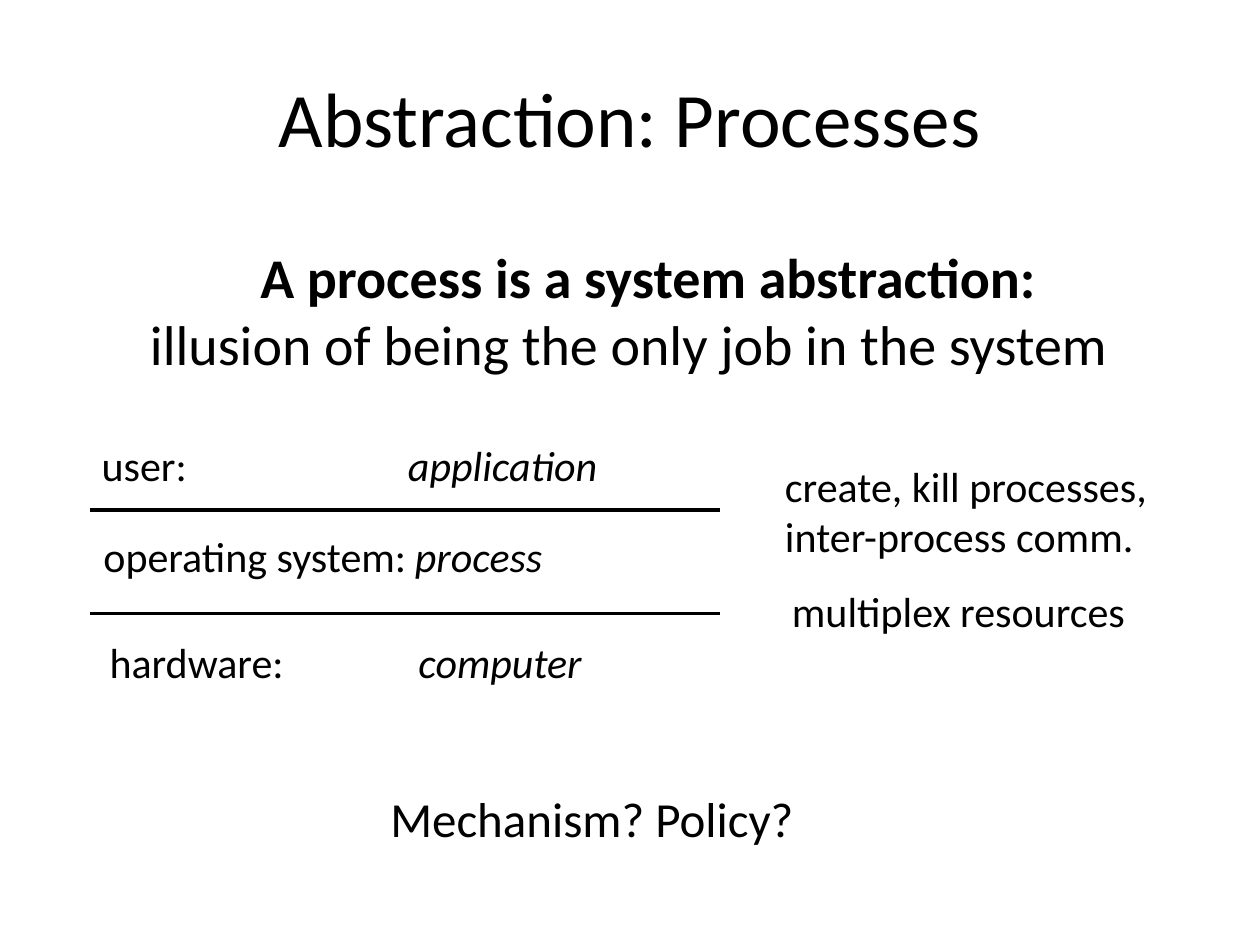
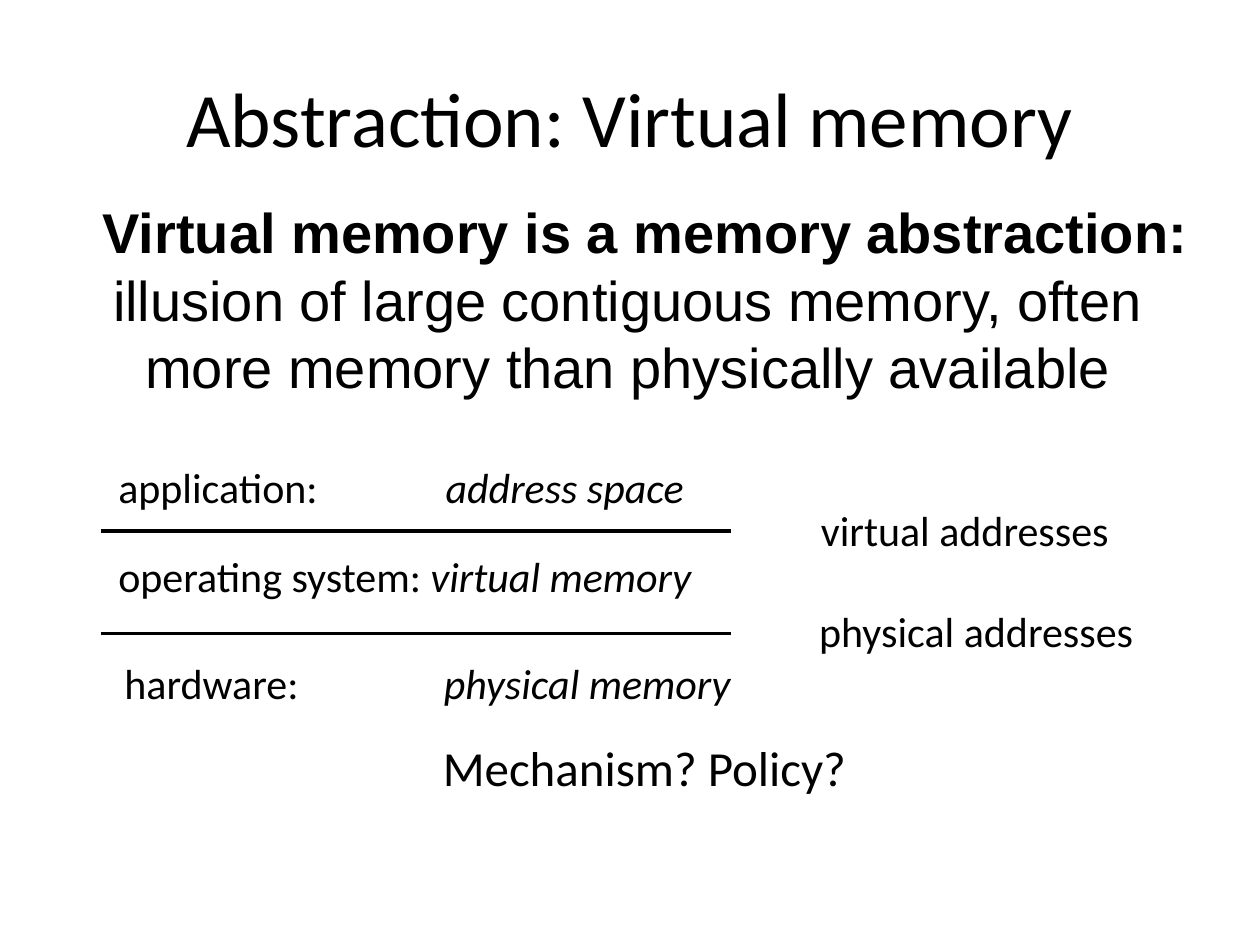
from dataclasses import dataclass

import lxml.etree
import pptx
import pptx.dml.color
import pptx.enum.shapes
import pptx.enum.text
import pptx.oxml.ns
import pptx.util

Pt = pptx.util.Pt
qn = pptx.oxml.ns.qn
ALIGN = pptx.enum.text.PP_ALIGN
ANCHOR = pptx.enum.text.MSO_ANCHOR


@dataclass(frozen=True)
class Theme:
    ink = pptx.dml.color.RGBColor(0, 0, 0)
    paper = pptx.dml.color.RGBColor(255, 255, 255)
    font = "Calibri"
    title_size = 44
    claim_size = 32
    question_size = 28
    label_size = 24
    rule_width = 2


theme = Theme()


def add_text(slide, box, lines, size, font=theme.font, align=ALIGN.LEFT, anchor=ANCHOR.TOP):
    frame = slide.shapes.add_textbox(*[Pt(length) for length in box]).text_frame
    frame.word_wrap = True
    frame.vertical_anchor = anchor
    frame.text = "\n".join(lines)
    for paragraph in frame.paragraphs:
        paragraph.alignment = align
        paragraph.font.size = Pt(size)
        for run in paragraph.runs:
            style_run(run, size, font)
    return frame


def style_run(run, size, font):
    run.font.size = Pt(size)
    run.font.name = font
    run.font.color.rgb = theme.ink


topics = [
    dict(
        title="Abstraction: Processes",
        claim=["A process is a system abstraction:", "illusion of being the only job in the system"],
        claim_box=(74, 135, 571, 90),
        claim_font="Calibri",
        claim_margins=[("marL", 22), ("marR", 0)],
        rules=(51.5, [291.5, 350.5]),
        layers=[
            ("user:", "application", 51, 247.5, 175),
            ("operating system:", "process", 52, 299.5, 178),
            ("hardware:", "computer", 55.5, 360, 176.5),
        ],
        interfaces=[
            (["create, kill processes,", "inter-process comm."], 441.5, 259.5, 66),
            (["multiplex resources"], 445.5, 331, 36),
        ],
        question=(216, 447),
    ),
    dict(
        title="Abstraction: Virtual memory",
        claim=[
            "Virtual memory is a memory abstraction:",
            "illusion of large contiguous memory, often more memory than physically available",
        ],
        claim_box=(36, 109.5, 658, 120),
        claim_font="Arial",
        claim_margins=[("marL", 8), ("marR", 12)],
        rules=(57.5, [303.5, 362]),
        layers=[
            ("application:", "address space", 60.5, 260, 187),
            ("operating system:", "virtual memory", 60.5, 311, 178.5),
            ("hardware:", "physical memory", 64, 372, 182.5),
        ],
        interfaces=[
            (["virtual addresses"], 462, 284.5, 36),
            (["physical addresses"], 461, 342.5, 36),
        ],
        question=(246, 418),
    ),
]

deck = pptx.Presentation()
deck.slide_width, deck.slide_height = Pt(720), Pt(540)

for topic in topics:
    slide = deck.slides.add_slide(deck.slide_layouts[6])
    slide.background.fill.solid()
    slide.background.fill.fore_color.rgb = theme.paper

    add_text(slide, (36, 21.6, 648, 90), [topic["title"]], theme.title_size,
             align=ALIGN.CENTER, anchor=ANCHOR.MIDDLE)

    claim = add_text(slide, topic["claim_box"], topic["claim"], theme.claim_size,
                     font=topic["claim_font"], align=ALIGN.CENTER)
    claim.paragraphs[0].runs[0].font.bold = True
    for paragraph, (side, margin) in zip(claim.paragraphs, topic["claim_margins"]):
        paragraph._p.get_or_add_pPr().set(side, str(Pt(margin)))

    rule_left, rule_tops = topic["rules"]
    for top in rule_tops:
        boundary = slide.shapes.add_connector(
            pptx.enum.shapes.MSO_CONNECTOR.STRAIGHT,
            Pt(rule_left), Pt(top), Pt(rule_left + 360), Pt(top))
        boundary.line.color.rgb = theme.ink
        boundary.line.width = Pt(theme.rule_width)
        lxml.etree.SubElement(boundary._element.spPr, qn("a:effectLst"))

    for layer, abstraction, left, top, tab in topic["layers"]:
        row = add_text(slide, (left, top, 375, 36), [layer + "\t"], theme.label_size).paragraphs[0]
        example = row.add_run()
        example.text = abstraction
        style_run(example, theme.label_size, theme.font)
        example.font.italic = True
        tabs = lxml.etree.SubElement(row._p.get_or_add_pPr(), qn("a:tabLst"))
        row._p.pPr.insert(0, tabs)
        lxml.etree.SubElement(tabs, qn("a:tab"), pos=str(Pt(tab)), algn="l")

    for services, left, top, height in topic["interfaces"]:
        add_text(slide, (left, top, 230, height), services, theme.label_size)

    add_text(slide, (*topic["question"], 250, 42), ["Mechanism? Policy?"], theme.question_size)

deck.save("out.pptx")
